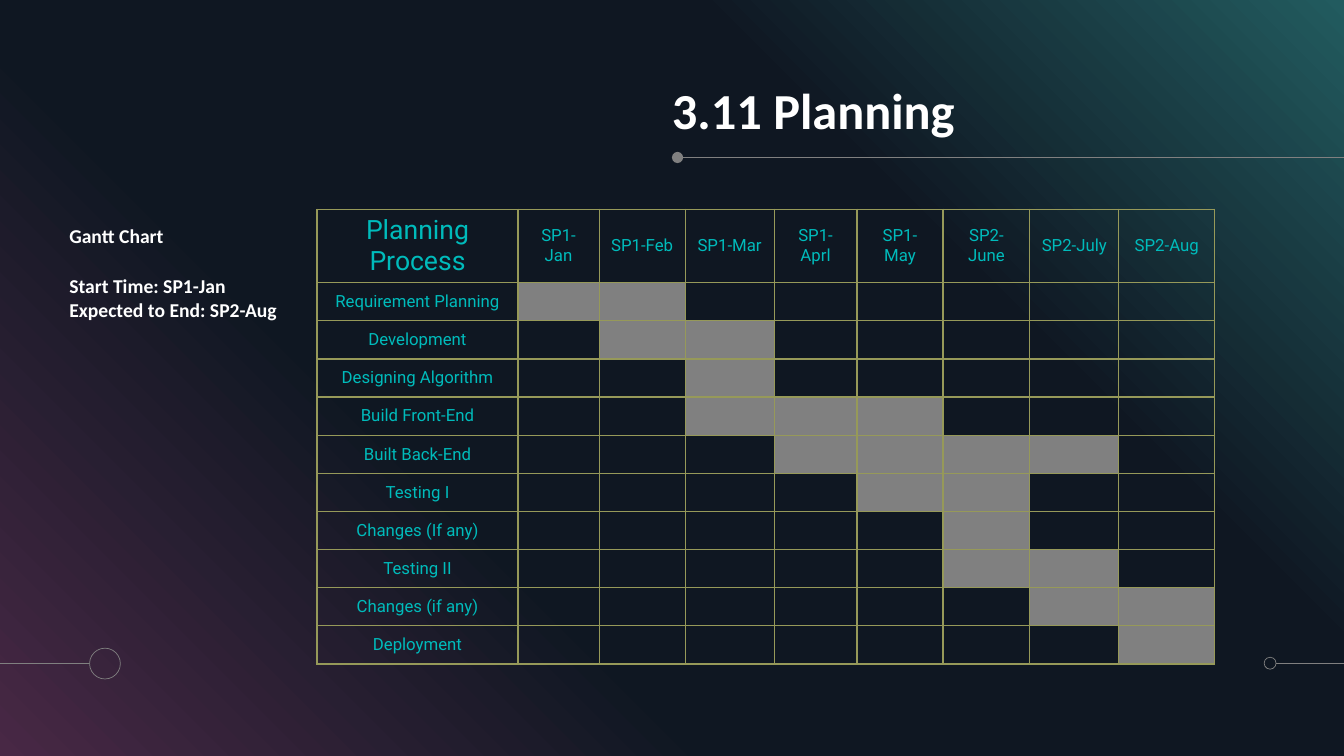
from lxml import etree
from pptx import Presentation
from pptx.dml.color import RGBColor
from pptx.enum.shapes import MSO_CONNECTOR, MSO_SHAPE
from pptx.enum.text import MSO_ANCHOR, MSO_AUTO_SIZE, PP_ALIGN
from pptx.oxml.ns import qn
from pptx.util import Pt

STRAIGHT = MSO_CONNECTOR.STRAIGHT
RECTANGLE, OVAL = MSO_SHAPE.RECTANGLE, MSO_SHAPE.OVAL
BOTTOM, MIDDLE = MSO_ANCHOR.BOTTOM, MSO_ANCHOR.MIDDLE
NO_AUTOSIZE = MSO_AUTO_SIZE.NONE
LEFT, CENTER = PP_ALIGN.LEFT, PP_ALIGN.CENTER

COLORS = {
    "purple": "482845", "navy": "0F1722", "teal": "225B5F",
    "gray": "808080", "white": "FFFFFF", "cyan": "00BBBB", "olive": "969959",
}
HEADERS = ["Planning Process", "SP1-Jan", "SP1-Feb", "SP1-Mar", "SP1-Aprl",
           "SP1-May", "SP2-June", "SP2-July", "SP2-Aug"]
TASKS = [
    ("Requirement Planning", 1, 2), ("Development", 2, 3),
    ("Designing Algorithm", 3, 3), ("Build Front-End", 3, 5),
    ("Built Back-End", 4, 7), ("Testing I", 5, 6),
    ("Changes (If any)", 6, 6), ("Testing II", 6, 7),
    ("Changes (if any)", 7, 8), ("Deployment", 8, 8),
]
COLUMN_WIDTHS = [143.5, 58, 61.4, 63.6, 59.2, 61.5, 62, 63.6, 68.5]
HEADER_HEIGHT, TASK_HEIGHT = 52.4, 27.25


def rgb(name):
    """Return a named colour."""
    return RGBColor.from_string(COLORS[name])


def add_span(para, text, size, font, color, bold=False):
    """Add one formatted run to a paragraph."""
    span = para.add_run()
    span.text = text
    span.font.size = Pt(size)
    span.font.name = font
    span.font.bold = bold
    span.font.color.rgb = rgb(color)


def add_gradient_panel(page, width, height):
    """Add the diagonal gradient behind everything else."""
    panel = page.shapes.add_shape(RECTANGLE, 0, 0, width, height)
    panel.shadow.inherit = False
    panel.line.fill.background()
    panel.fill.gradient()
    panel.fill.gradient_angle = 45
    stops = panel.element.spPr.find(qn("a:gradFill")).find(qn("a:gsLst"))
    for stop in list(stops):
        stops.remove(stop)
    for percent, color in [(0, "purple"), (34, "navy"), (69, "navy"), (100, "teal")]:
        stop = etree.SubElement(stops, qn("a:gs"), pos=str(percent * 1000))
        etree.SubElement(stop, qn("a:srgbClr"), val=COLORS[color])
    page.shapes.element.insert(2, panel.element)


def add_rule(page, start, end, y):
    """Add a thin horizontal line."""
    rule = page.shapes.add_connector(STRAIGHT, Pt(start), Pt(y), Pt(end), Pt(y))
    rule.line.color.rgb = rgb("gray")
    rule.line.width = Pt(0.5)
    etree.SubElement(rule.element.spPr, qn("a:effectLst"))


def add_dot(page, left, top, size, filled=False):
    """Add a filled or outlined circle."""
    dot = page.shapes.add_shape(OVAL, Pt(left), Pt(top), Pt(size), Pt(size))
    dot.shadow.inherit = False
    if filled:
        dot.fill.solid()
        dot.fill.fore_color.rgb = rgb("gray")
        dot.line.fill.background()
    else:
        dot.fill.background()
        dot.line.color.rgb = rgb("gray")
        dot.line.width = Pt(0.5)


def fill_placeholder(box, place, lines, size, spacing):
    """Move a placeholder and write its (text, space before) lines."""
    box.left, box.top, box.width, box.height = [Pt(value) for value in place]
    frame = box.text_frame
    frame.word_wrap = True
    frame.auto_size = NO_AUTOSIZE
    frame.vertical_anchor = BOTTOM
    frame.margin_left = frame.margin_right = 0
    frame.margin_top = frame.margin_bottom = 0
    for index, (text, before) in enumerate(lines):
        para = frame.add_paragraph() if index else frame.paragraphs[0]
        properties = para._p.get_or_add_pPr()
        properties.set("marL", "0")
        properties.set("indent", "0")
        etree.SubElement(properties, qn("a:buNone"))
        para.alignment = LEFT
        para.line_spacing = spacing
        para.space_before = Pt(before)
        add_span(para, text, size, "Calibri", "white", True)


def format_cell(cell, text="", size=12, shaded=False):
    """Set the fill, borders and text of one cell."""
    properties = cell._tc.get_or_add_tcPr()
    for side in ("a:lnL", "a:lnR", "a:lnT", "a:lnB"):
        line = etree.SubElement(properties, qn(side), w=str(Pt(1)))
        paint = etree.SubElement(line, qn("a:solidFill"))
        etree.SubElement(paint, qn("a:srgbClr"), val=COLORS["olive"])
    if shaded:
        cell.fill.solid()
        cell.fill.fore_color.rgb = rgb("gray")
    else:
        cell.fill.background()
    cell.vertical_anchor = MIDDLE
    if text:
        para = cell.text_frame.paragraphs[0]
        para.alignment = CENTER
        add_span(para, text, size, "Roboto", "cyan")
    else:
        cell.margin_top = cell.margin_bottom = 0


def add_gantt(page, left, top):
    """Add the Gantt table with shaded months."""
    height = HEADER_HEIGHT + TASK_HEIGHT * len(TASKS)
    table = page.shapes.add_table(
        len(TASKS) + 1, len(HEADERS), Pt(left), Pt(top),
        Pt(sum(COLUMN_WIDTHS)), Pt(height)).table
    table.first_row = table.horz_banding = False
    for column, width in zip(table.columns, COLUMN_WIDTHS):
        column.width = Pt(width)
    table.rows[0].height = Pt(HEADER_HEIGHT)
    for index, header in enumerate(HEADERS):
        format_cell(table.cell(0, index), header, 12 if index else 19)
    for row, (task, first, last) in enumerate(TASKS, 1):
        table.rows[row].height = Pt(TASK_HEIGHT)
        format_cell(table.cell(row, 0), task)
        for month in range(1, len(HEADERS)):
            format_cell(table.cell(row, month), shaded=first <= month <= last)


def main():
    """Build and save the planning slide."""
    deck = Presentation()
    deck.slide_width, deck.slide_height = Pt(960), Pt(540)
    page = deck.slides.add_slide(deck.slide_layouts[1])
    add_gradient_panel(page, deck.slide_width, deck.slide_height)
    fill_placeholder(page.shapes.title, (480, 55.5, 418, 44.5),
                     [("3.11 Planning", 0)], 36, 0.9)
    fill_placeholder(page.placeholders[1], (49.5, 150, 173, 79.5),
                     [("Gantt Chart", 0), ("Start Time: SP1-Jan", 24),
                      ("Expected to End: SP2-Aug", 6)], 14, 0.7)
    add_rule(page, 480, 960, 112.5)
    add_dot(page, 480, 108.5, 8, filled=True)
    add_rule(page, 911.5, 960, 474)
    add_dot(page, 903, 469.5, 8.5)
    add_rule(page, 0, 63.5, 474)
    add_dot(page, 64, 463, 22)
    add_gantt(page, 226.5, 149.5)
    deck.save("out.pptx")


if __name__ == "__main__":
    main()
